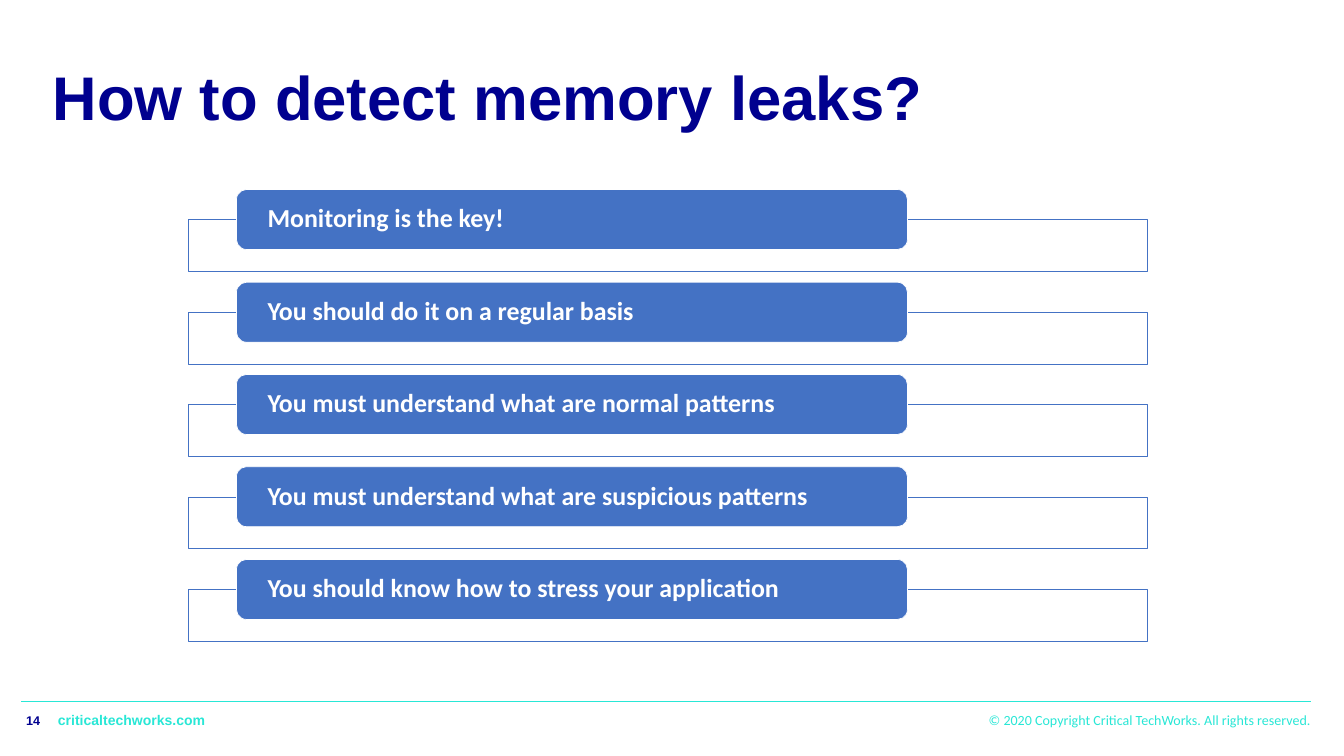
import pptx
import pptx.util
import pptx.dml.color
import pptx.enum.shapes
import pptx.enum.text
import pptx.oxml.ns
from lxml import etree

RGB = pptx.dml.color.RGBColor
SHAPE = pptx.enum.shapes.MSO_SHAPE
ALIGN = pptx.enum.text.PP_ALIGN
ANCHOR = pptx.enum.text.MSO_ANCHOR

NAVY = RGB(0x00, 0x00, 0x8F)
TEAL = RGB(0x29, 0xE7, 0xD6)
BLUE = RGB(0x44, 0x72, 0xC4)
WHITE = RGB(0xFF, 0xFF, 0xFF)

SCALE = 9144  # EMU in one px, 100 px to the inch

POINTS = [
    "Monitoring is the key!",
    "You should do it on a regular basis",
    "You must understand what are normal patterns",
    "You must understand what are suspicious patterns",
    "You should know how to stress your application",
]


def px(*vals):
    return [pptx.util.Emu(val * SCALE) for val in vals]


def write(shape, text, size=20, font="Arial", color=NAVY, bold=True,
          align=ALIGN.LEFT, anchor=ANCHOR.TOP, inset=(10, 5, 10, 5),
          space=0.9):
    frame = shape.text_frame
    frame.word_wrap = True
    frame.auto_size = pptx.enum.text.MSO_AUTO_SIZE.NONE
    frame.vertical_anchor = anchor
    (frame.margin_left, frame.margin_top,
     frame.margin_right, frame.margin_bottom) = px(*inset)
    para = frame.paragraphs[0]
    para.alignment = align
    para.line_spacing = space
    run = para.add_run()
    run.text = text
    run.font.size = pptx.util.Pt(size)
    run.font.name = font
    run.font.bold = bold
    run.font.color.rgb = color


def block(slide, kind, box, fill, line=None):
    shape = slide.shapes.add_shape(kind, *px(*box))
    shape.shadow.inherit = False
    shape.fill.solid()
    shape.fill.fore_color.rgb = fill
    if line is None:
        shape.line.fill.background()
    else:
        shape.line.color.rgb = line
        shape.line.width = pptx.util.Pt(1)
    return shape


def fade(shape, share):
    tint = shape.fill._xPr.find(".//" + pptx.oxml.ns.qn("a:srgbClr"))
    alpha = etree.SubElement(tint, pptx.oxml.ns.qn("a:alpha"))
    alpha.set("val", str(share * 1000))


def head(slide, box):
    title = slide.shapes.title
    title.left, title.top, title.width, title.height = px(*box)
    write(title, "How to detect memory leaks?", size=88,
          anchor=ANCHOR.MIDDLE)


def stack(slide, box):
    left, top, width, height = box
    # Each row is a bar that overlaps the top edge of its frame
    bar, drop, tall = 119, 60, 102
    step = (height - drop - tall) / (len(POINTS) - 1)
    for row, text in enumerate(POINTS):
        y = top + round(row * step)
        frame = block(slide, SHAPE.RECTANGLE, (left, y + drop, width, tall),
                      WHITE, BLUE)
        fade(frame, 90)
        label = block(slide, SHAPE.ROUNDED_RECTANGLE,
                      (left + 95, y, 1331, bar), BLUE, WHITE)
        write(label, text, size=37, font="Calibri", color=WHITE,
              anchor=ANCHOR.MIDDLE, inset=(56, 0, 56, 0))


def foot(slide, box):
    left, top, width, height = box
    right, y, wide = left + width, top + 18, 917

    # Web address and copyright
    site = block(slide, SHAPE.RECTANGLE, (left + 73, y, wide, 67), WHITE)
    write(site, "criticaltechworks.com", color=TEAL, inset=(0, 6, 10, 5))
    note = block(slide, SHAPE.RECTANGLE, (right - wide, y, wide, 67), WHITE)
    write(note, "© 2020 Copyright Critical TechWorks. All rights reserved.",
          font="Calibri", color=TEAL, bold=False, align=ALIGN.RIGHT,
          inset=(10, 6, 0, 5))

    # Rule above the footer
    rule = slide.shapes.add_connector(
        pptx.enum.shapes.MSO_CONNECTOR.STRAIGHT, *px(left, top, right, top))
    rule.line.color.rgb = TEAL
    rule.line.width = pptx.util.Pt(1.75)
    etree.SubElement(rule._element.spPr, pptx.oxml.ns.qn("a:effectLst"))

    # Page number
    page = slide.shapes.add_textbox(*px(left, y, 73, 40))
    write(page, "14", size=18, space=1.0)


def main():
    deck = pptx.Presentation()
    deck.slide_width, deck.slide_height = px(2666, 1500)
    slide = deck.slides.add_slide(deck.slide_layouts[5])
    foot(slide, (42, 1392, 2558, 85))
    head(slide, (95, 122, 2457, 155))
    stack(slide, (374, 376, 1902, 896))
    deck.save("out.pptx")


if __name__ == "__main__":
    main()
